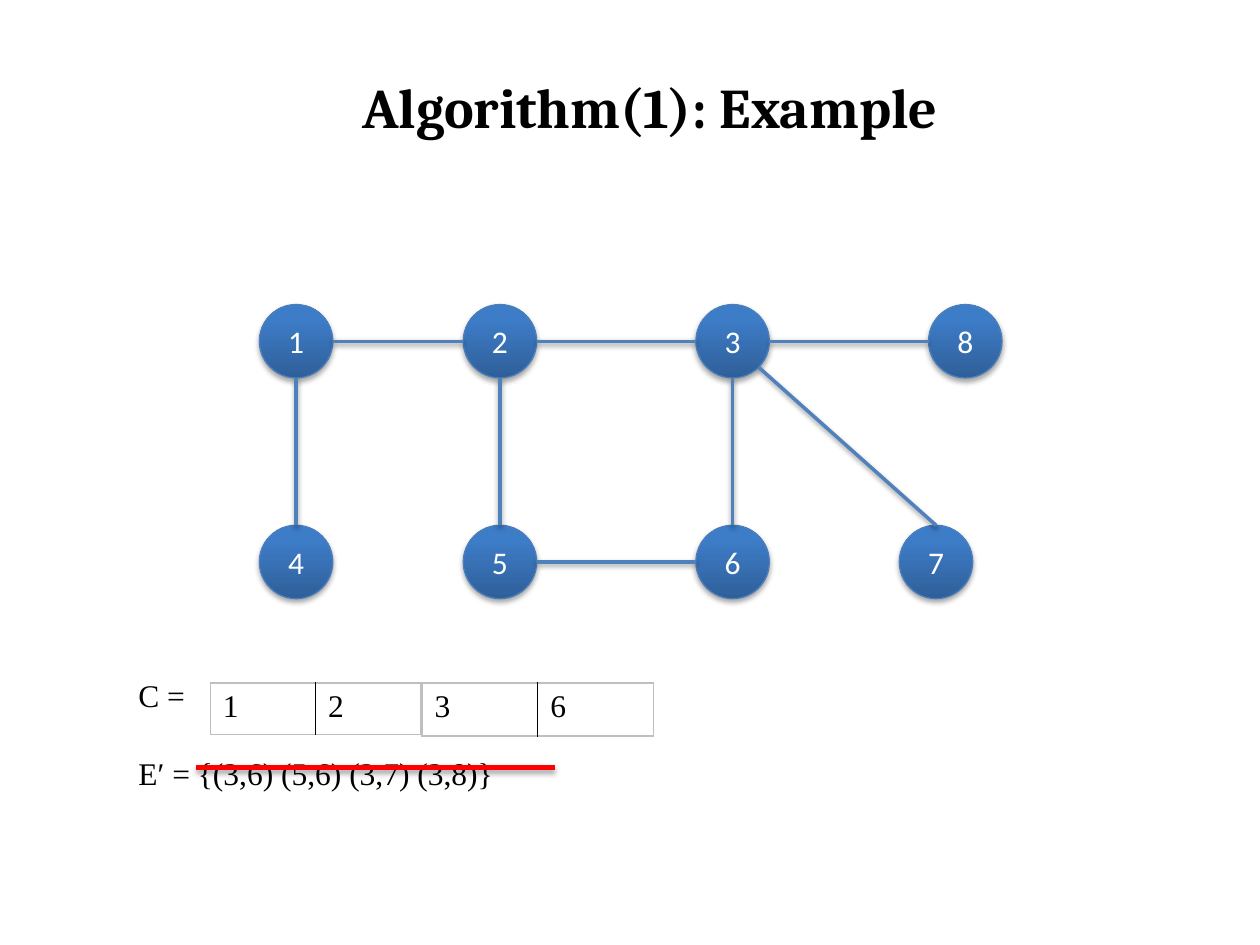
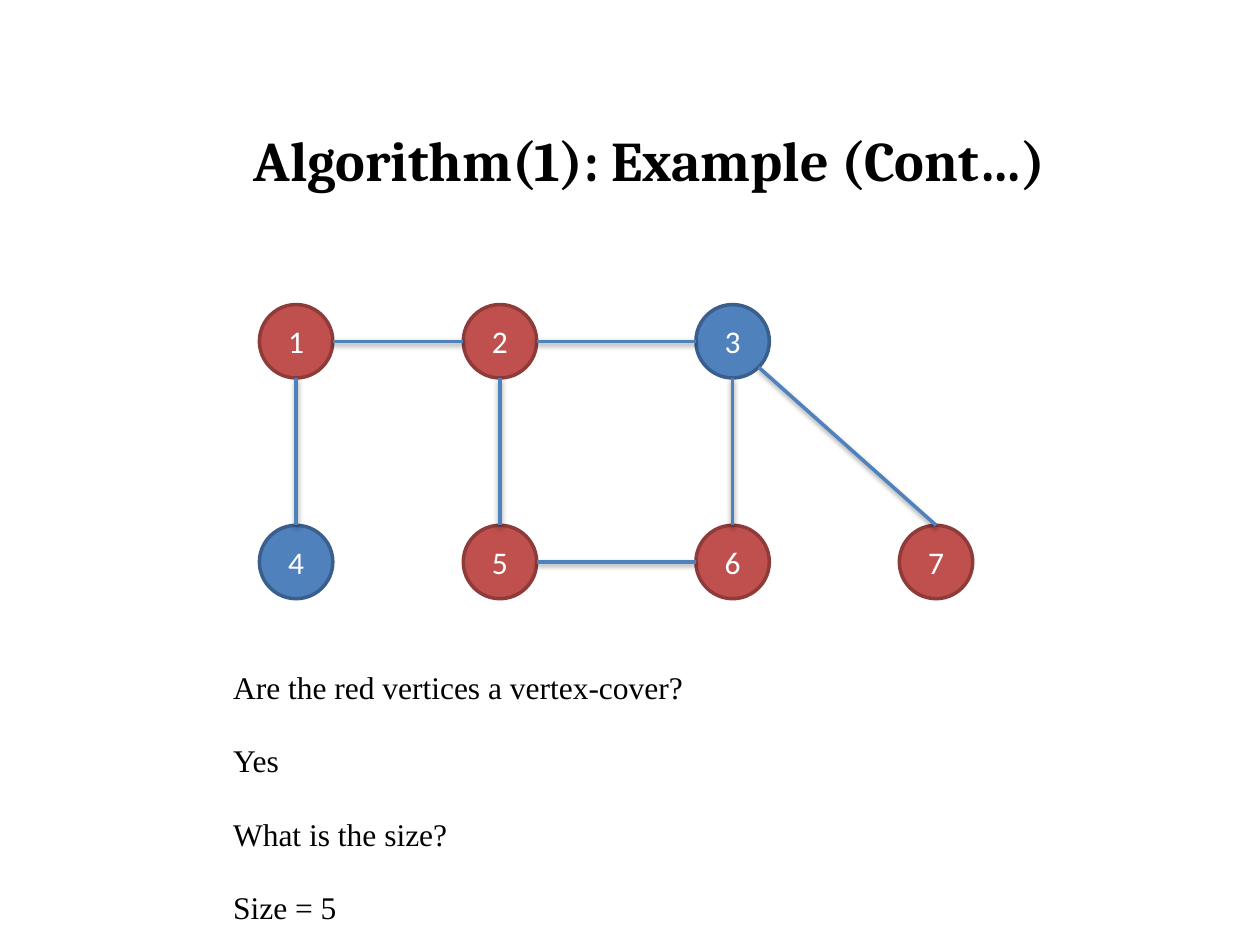
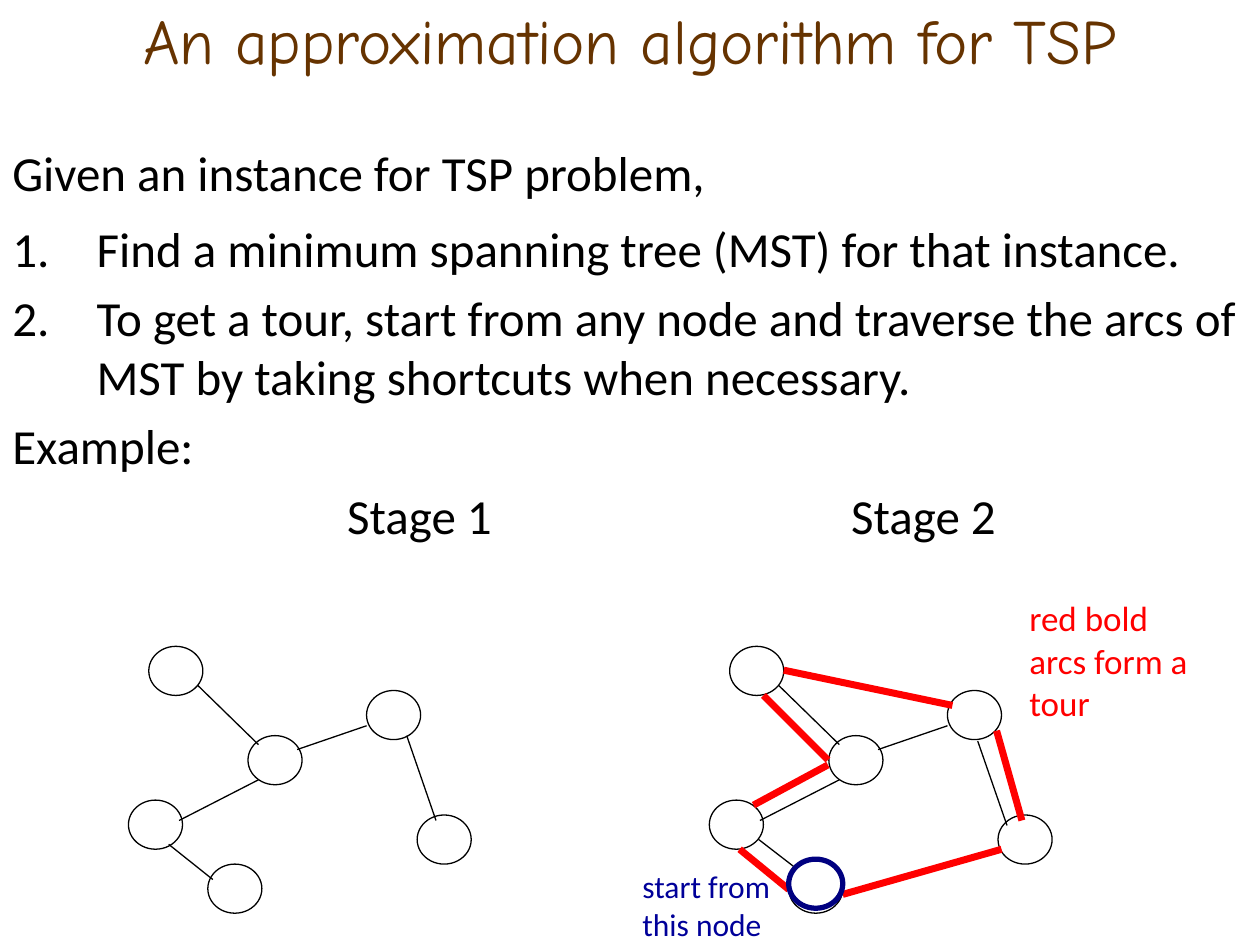
from lxml import etree
from pptx import Presentation
from pptx.dml.color import RGBColor
from pptx.enum.shapes import MSO_CONNECTOR, MSO_SHAPE
from pptx.enum.text import MSO_ANCHOR, PP_ALIGN
from pptx.oxml.ns import qn
from pptx.util import Cm, Pt

COLORS = {
    "black": "000000", "white": "FFFFFF", "grey": "BFBFBF",
    "blue": "4F81BD", "blue_rim": "3A5F8C",
    "cover": "C0504D", "cover_rim": "8E3B39",
    "shade": "2F5F99", "shine": "3D7CC7", "shine_rim": "4B7EBC",
    "red": "FF0000", "navy": "000080", "hint": "000099", "brown": "663300",
}
SERIF, SANS, HEADING, COMIC = "Times New Roman", "Calibri", "Cambria", "Comic Neue"

# Vertex graph: centres in cm, and edges with the side they leave and reach
RADIUS = 0.74
VERTICES = {
    "1": (5.97, 6.88), "2": (10.08, 6.88), "3": (14.77, 6.88),
    "4": (5.97, 11.33), "5": (10.08, 11.33), "6": (14.77, 11.33), "7": (18.87, 11.33),
}
EXTRA_VERTEX = {"8": (19.46, 6.88)}
SIDES = {"top": (0, -1), "bottom": (0, 1), "left": (-1, 0), "right": (1, 0),
         "corner": (0.71, 0.71)}
EDGES = [
    ("1", "bottom", "4", "top"), ("1", "right", "2", "left"),
    ("2", "right", "3", "left"), ("2", "bottom", "5", "top"),
    ("3", "corner", "7", "top"), ("3", "bottom", "6", "top"),
    ("5", "right", "6", "left"),
]
EXTRA_EDGE = ("3", "right", "8", "left")
COVER = {"1", "2", "5", "6", "7"}

# Spanning tree: node corners and arcs in cm, as placed for stage 1
NODE_WIDTH, NODE_HEIGHT = 1.09, 0.99
TREE_NODES = [(2.59, 16.13), (7.39, 13.92), (3, 13.03), (5, 14.83), (8.41, 16.43), (4.19, 17.42)]
SHARED_ARCS = [(3.99, 13.82, 5.21, 15.01), (5.99, 15.11, 7.39, 14.63), (3.61, 16.54, 5.21, 15.72)]
STAGES = [
    (0, [(3.4, 17.02, 4.29, 17.73), (8.2, 14.83, 8.79, 16.54)]),
    (11.71, [(3.58, 16.92, 4.5, 17.63), (8, 14.94, 8.59, 16.64)]),
]
TOUR = [
    (15.9, 17.93, 14.91, 17.12), (15.19, 16.23, 16.69, 15.42),
    (16.69, 15.32, 15.39, 14.02), (15.8, 13.51, 19.2, 14.22),
    (20.09, 14.73, 20.6, 16.54), (20.19, 17.12, 16.99, 18.03),
]


def color(name):
    return RGBColor.from_string(COLORS[name])


class Deck:
    def __init__(self):
        self.presentation = Presentation()
        self.presentation.slide_width = Cm(25.4)
        self.presentation.slide_height = Cm(19.05)
        self.slide = None

    def new_slide(self):
        self.slide = self.presentation.slides.add_slide(self.presentation.slide_layouts[6])

    def style(self, paragraph, size, font, ink="black", bold=False):
        paragraph.font.size = Pt(size)
        paragraph.font.name = font
        paragraph.font.bold = bold
        paragraph.font.color.rgb = color(ink)

    def effects(self, shape, opacity=0, distance=0):
        """Replace the theme shadow by a soft one below, or by none."""
        effect_list = etree.SubElement(shape._element.spPr, qn("a:effectLst"))
        if opacity:
            shadow = etree.SubElement(effect_list, qn("a:outerShdw"), blurRad=str(Pt(3.1)),
                                      dist=str(Pt(distance)), dir="5400000", rotWithShape="0")
            ink = etree.SubElement(shadow, qn("a:srgbClr"), val=COLORS["black"])
            etree.SubElement(ink, qn("a:alpha"), val=str(opacity * 1000))

    def text(self, left, top, width, height, lines, size=18, font=SERIF, ink="black",
             bold=False, space=0):
        box = self.slide.shapes.add_textbox(Cm(left), Cm(top), Cm(width), Cm(height))
        frame = box.text_frame
        frame.word_wrap = True
        frame.text = "\n".join(lines)
        for index, paragraph in enumerate(frame.paragraphs):
            if index and space:
                paragraph.space_before = Pt(space)
            self.style(paragraph, size, font, ink, bold)
        return frame

    def title(self, text, left=2.16, top=1.45, width=21.89, height=1.55, size=32,
              font=HEADING, ink="black", bold=True, spacing=0.9):
        frame = self.text(left, top, width, height, [text], size, font, ink, bold)
        frame.vertical_anchor = MSO_ANCHOR.MIDDLE
        frame.paragraphs[0].alignment = PP_ALIGN.CENTER
        frame.paragraphs[0].line_spacing = spacing

    def ellipse(self, left, top, width, height, fill="white", rim="black", points=0.75,
                label=None, glossy=False):
        shape = self.slide.shapes.add_shape(MSO_SHAPE.OVAL, Cm(left), Cm(top),
                                            Cm(width), Cm(height))
        if glossy:
            shape.fill.gradient()
            shape.fill.gradient_angle = 90
            for stop, position, name in zip(shape.fill.gradient_stops, (0, 0.8),
                                            ("shade", "shine")):
                stop.position = position
                stop.color.rgb = color(name)
        else:
            shape.fill.solid()
            shape.fill.fore_color.rgb = color(fill)
        shape.line.color.rgb = color(rim)
        shape.line.width = Pt(points)
        self.effects(shape, *((35, 1.8) if glossy else ()))
        if label:
            frame = shape.text_frame
            frame.text = label
            frame.vertical_anchor = MSO_ANCHOR.MIDDLE
            frame.paragraphs[0].alignment = PP_ALIGN.CENTER
            self.style(frame.paragraphs[0], 18, SANS, "white")

    def line(self, ends, ink="black", points=0.75, shadow=()):
        connector = self.slide.shapes.add_connector(MSO_CONNECTOR.STRAIGHT,
                                                    *(Cm(value) for value in ends))
        connector.line.color.rgb = color(ink)
        connector.line.width = Pt(points)
        self.effects(connector, *shadow)

    def graph(self, vertices, edges, cover=None):
        """Draw glossy vertices, or flat ones coloured by the cover."""
        for label, (x, y) in vertices.items():
            if cover is None:
                look = {"rim": "shine_rim", "glossy": True}
            else:
                name = "cover" if label in cover else "blue"
                look = {"fill": name, "rim": name + "_rim", "points": 2}
            self.ellipse(x - RADIUS, y - RADIUS, 2 * RADIUS, 2 * RADIUS, label=label, **look)
        for start, start_side, end, end_side in edges:
            ends = [centre + RADIUS * step
                    for vertex, side in ((start, start_side), (end, end_side))
                    for centre, step in zip(vertices[vertex], SIDES[side])]
            self.line(ends, "blue", 2, (38, 1.6))

    def table(self, left, top, width, height, values):
        table = self.slide.shapes.add_table(1, len(values), Cm(left), Cm(top),
                                            Cm(width), Cm(height)).table
        table.first_row = table.horz_banding = False
        for index, value in enumerate(values):
            cell = table.cell(0, index)
            cell.text = value
            self.style(cell.text_frame.paragraphs[0], 18, SERIF)
            borders = {"lnL": "black" if index else "grey",
                       "lnR": "black" if index < len(values) - 1 else "grey",
                       "lnT": "grey", "lnB": "grey"}
            for tag, name in borders.items():
                border = etree.SubElement(cell._tc.get_or_add_tcPr(), qn("a:" + tag),
                                          w=str(Pt(1)))
                fill = etree.SubElement(border, qn("a:solidFill"))
                etree.SubElement(fill, qn("a:srgbClr"), val=COLORS[name])
            cell.fill.background()

    def number(self, paragraph):
        properties = paragraph._p.get_or_add_pPr()
        properties.set("marL", str(Cm(1.7)))
        properties.set("indent", str(-Cm(1.7)))
        properties.insert_element_before(
            properties.makeelement(qn("a:buAutoNum"), {"type": "arabicPeriod"}),
            "a:tabLst", "a:defRPr", "a:extLst")

    def tabs(self, paragraph, positions):
        properties = paragraph._p.get_or_add_pPr()
        tab_list = properties.makeelement(qn("a:tabLst"), {})
        for position in positions:
            etree.SubElement(tab_list, qn("a:tab"), pos=str(Cm(position)), algn="l")
        properties.insert_element_before(tab_list, "a:defRPr", "a:extLst")


def example_slide(deck):
    deck.new_slide()
    deck.graph(VERTICES | EXTRA_VERTEX, EDGES + [EXTRA_EDGE])
    deck.title("Algorithm(1): Example")
    # Chosen vertices and remaining edges
    deck.text(2.54, 13.51, 20.95, 5.38, ["C =", "E′ = {(3,6) (5,6) (3,7) (3,8)}"], space=23)
    deck.table(4.24, 13.77, 4.24, 1.04, ["1", "2"])
    deck.table(8.51, 13.77, 4.66, 1.07, ["3", "6"])
    deck.line((3.96, 15.47, 11.18, 15.47), "red", 3, (35, 1.8))


def cover_slide(deck):
    deck.new_slide()
    deck.graph(VERTICES, EDGES, COVER)
    # Questions and answers
    lines = ["Are the red vertices a vertex-cover?", "Yes", "What is the size?", "Size = 5"]
    for index, line in enumerate(lines):
        deck.text(4.45, 13.34 + 1.48 * index, 16.5, 1.3, [line])
    deck.title("Algorithm(1): Example (Cont…)", height=3.68)


def tour_slide(deck):
    deck.new_slide()
    deck.title("An approximation algorithm for TSP", 0, 0, 25.4, 1.57, 36, COMIC, "brown",
               False, 1)
    # Steps
    frame = deck.text(0, 2.74, 25.4, 16.3, [
        "Given an instance for TSP problem,",
        "Find a minimum spanning tree (MST) for that instance.",
        "To get a tour, start from any node and traverse the arcs of MST "
        "by taking shortcuts when necessary.",
        "Example:",
        "\tStage 1\tStage 2",
    ], 28, SANS, space=6)
    paragraphs = frame.paragraphs
    paragraphs[1].space_before = Pt(10)
    for paragraph in paragraphs[1:3]:
        deck.number(paragraph)
    deck.tabs(paragraphs[4], (6.75, 16.91))
    # Spanning tree in both stages
    for shift, own_arcs in STAGES:
        for left, top in TREE_NODES:
            deck.ellipse(left + shift, top, NODE_WIDTH, NODE_HEIGHT)
        for x1, y1, x2, y2 in SHARED_ARCS + own_arcs:
            deck.line((x1 + shift, y1, x2 + shift, y2))
    # Tour and its start
    for arc in TOUR:
        deck.line(arc, "red", 4)
    deck.ellipse(15.9, 17.32, NODE_WIDTH, NODE_HEIGHT, rim="navy", points=3)
    deck.text(12.7, 17.35, 3.89, 1.78, ["start from this node"], 18, SANS, "hint")
    deck.text(20.5, 11.91, 4.1, 1.96, ["red bold arcs form a tour"], 20, SANS, "red")


def main():
    deck = Deck()
    example_slide(deck)
    cover_slide(deck)
    tour_slide(deck)
    deck.presentation.save("out.pptx")


if __name__ == "__main__":
    main()
